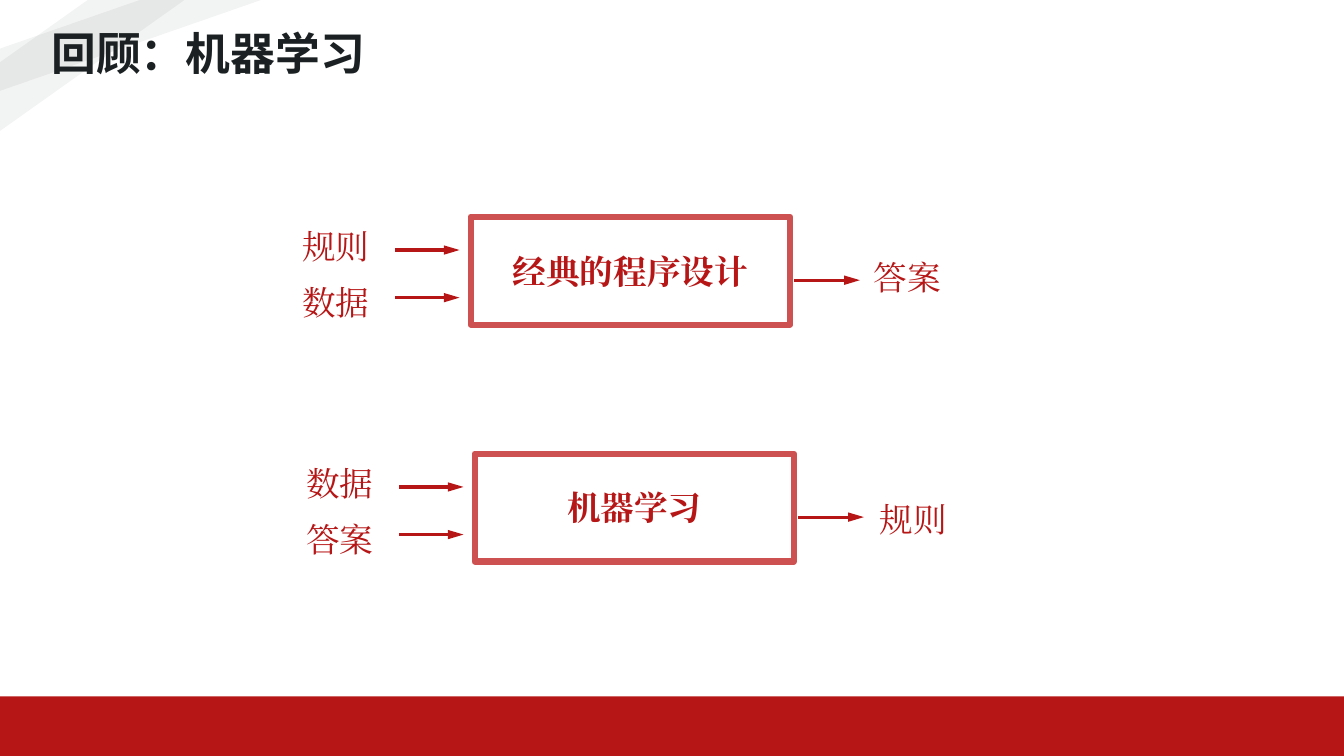
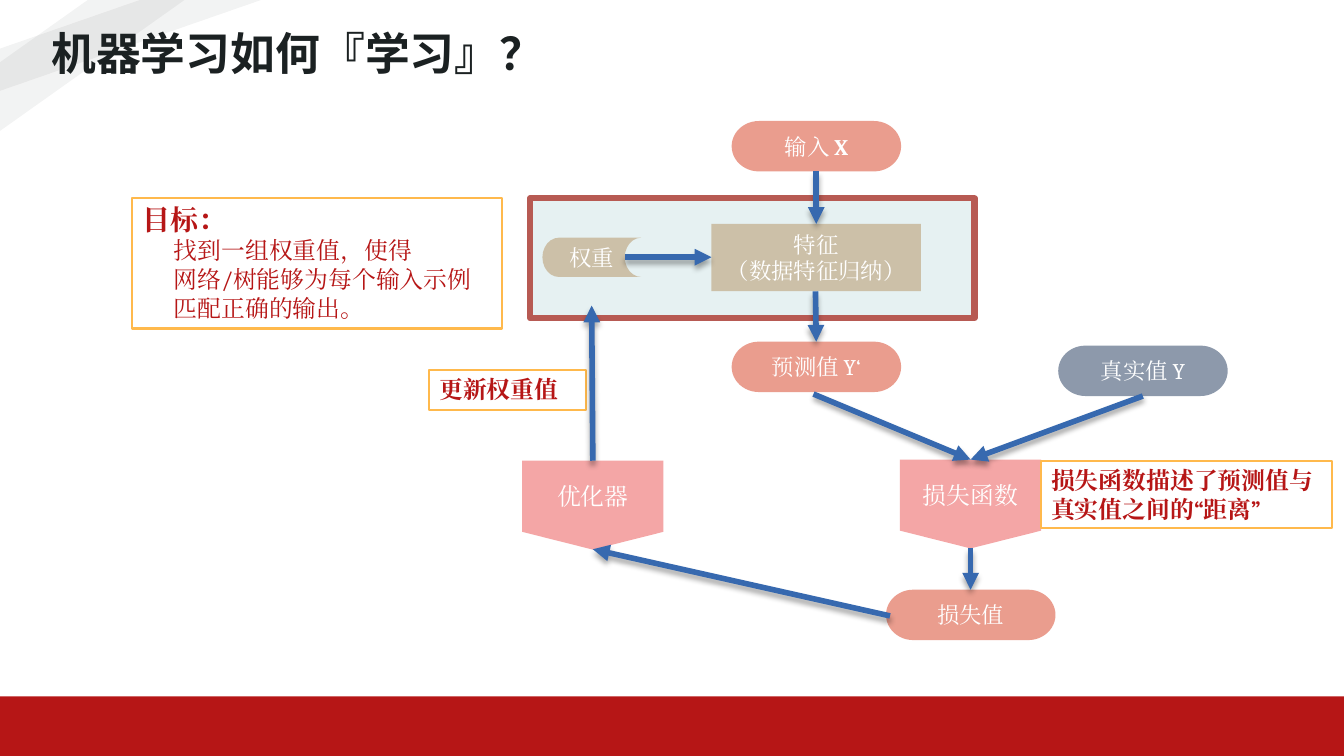
import copy

import pptx
import pptx.util
import pptx.dml.color
import pptx.enum.shapes
import pptx.enum.text
import pptx.oxml
import pptx.oxml.ns
from lxml import etree

Cm, Pt = pptx.util.Cm, pptx.util.Pt
RGB = pptx.dml.color.RGBColor.from_string
KIND = pptx.enum.shapes.MSO_SHAPE
ALIGN = pptx.enum.text.PP_ALIGN
ANCHOR = pptx.enum.text.MSO_ANCHOR
qn = pptx.oxml.ns.qn

COLORS = {
    "red": "B61616", "box": "CD5151", "title": "1B2122", "stripe": "121616",
    "white": "FFFFFF", "amber": "FFB94C", "frame": "E6F1F2",
    "frame_line": "B75A53", "value": "D73C1E", "model": "B4915F",
    "truth": "1C3458", "step": "EA4E4E", "arrow": "3769AF", "shadow": "000000",
}
BODY_FONT, TITLE_FONT = "Cambria", "Noto Sans CJK SC"


def add_box(s, kind, at, text="", size=16, color="white", bold=False,
            fill=None, alpha=100, line=None, width=1.5, center=True):
    """Add a shape, or a plain text box when kind is None."""
    at = [Cm(v) for v in at]
    if kind is None:
        sp = s.shapes.add_textbox(*at)
    else:
        sp = s.shapes.add_shape(kind, *at)
        sp.shadow.inherit = False
    if fill:
        sp.fill.solid()
        sp.fill.fore_color.rgb = RGB(COLORS[fill])
        if alpha < 100:
            srgb = sp.element.spPr.find(qn("a:solidFill"))[0]
            etree.SubElement(srgb, qn("a:alpha"), val=str(alpha * 1000))
    if line:
        sp.line.color.rgb = RGB(COLORS[line])
        sp.line.width = Pt(width)
    else:
        sp.line.fill.background()
    tf = sp.text_frame
    tf.word_wrap = True
    tf.vertical_anchor = ANCHOR.MIDDLE if center else ANCHOR.TOP
    if center:
        tf.margin_left = tf.margin_right = 0
    if text:
        tf.text = text
    for p in tf.paragraphs:
        p.alignment = ALIGN.CENTER if center else ALIGN.LEFT
        for r in p.runs:
            r.font.size, r.font.bold, r.font.name = Pt(size), bold, BODY_FONT
            r.font.color.rgb = RGB(COLORS[color])
            etree.SubElement(r.font._element, qn("a:ea"), typeface=BODY_FONT)
    return sp


def add_arrow(s, x1, y1, x2, y2, color, width, length="med", shadow=False):
    arrow = s.shapes.add_connector(pptx.enum.shapes.MSO_CONNECTOR.STRAIGHT,
                                   Cm(x1), Cm(y1), Cm(x2), Cm(y2))
    arrow.line.color.rgb = RGB(COLORS[color])
    arrow.line.width = Pt(width)
    props = arrow.element.spPr
    etree.SubElement(props.find(qn("a:ln")), qn("a:tailEnd"),
                     type="triangle", w="med", len=length)
    effects = etree.SubElement(props, qn("a:effectLst"))
    if shadow:
        outer = etree.SubElement(effects, qn("a:outerShdw"), blurRad=str(Pt(4)),
                                 dist=str(Pt(3)), dir="5400000", rotWithShape="0")
        srgb = etree.SubElement(outer, qn("a:srgbClr"), val=COLORS["shadow"])
        etree.SubElement(srgb, qn("a:alpha"), val="35000")


prs = pptx.Presentation()
prs.slide_width, prs.slide_height = Cm(33.87), Cm(19.05)

# Layout: title position
layout = prs.slide_layouts[5]
title = layout.placeholders[0]
title.left, title.top, title.width, title.height = Cm(1.04), Cm(0.64), Cm(31.8), Cm(1.6)

# Slides with their titles
slides = []
for text in ("回顾：机器学习", "机器学习如何『学习』？"):
    s = prs.slides.add_slide(layout)
    tf = s.shapes.title.text_frame
    tf.text = text
    tf.auto_size = pptx.enum.text.MSO_AUTO_SIZE.NONE
    tf.vertical_anchor = ANCHOR.TOP
    tf.margin_top = tf.margin_bottom = 0
    p = tf.paragraphs[0]
    p.alignment = ALIGN.LEFT
    font = p.runs[0].font
    font.size, font.bold, font.name = Pt(32), True, TITLE_FONT
    font.color.rgb = RGB(COLORS["title"])
    etree.SubElement(font._element, qn("a:ea"), typeface=TITLE_FONT)
    slides.append(s)
review, learning = slides

# Layout: red footer band and grey corner stripes, moved behind the title
decor = [add_box(review, KIND.RECTANGLE, (0, 17.55, 33.87, 1.5), fill="red")]
for w, h, share in ((6.58, 2.29, 0.536), (4.65, 3.3, 0.476)):
    stripe = add_box(review, KIND.DIAGONAL_STRIPE, (0, 0, w, h), fill="stripe", alpha=5)
    stripe.adjustments[0] = share
    decor.append(stripe)
for i, sp in enumerate(decor):
    sp.element.nvSpPr.cNvPr.set("id", str(100 + i))
    layout.shapes.element.insert(2 + i, sp.element)

# Slide 1: two input-output diagrams
diagrams = [
    (0, 0, ("规则", "数据"), "经典的程序设计", "答案", (21.77, 6.35)),
    (0.1, 5.97, ("数据", "答案"), "机器学习", "规则", (21.92, 12.45)),
]
for dx, dy, inputs, name, output, (out_x, out_y) in diagrams:
    for i, text in enumerate(inputs):
        add_box(review, None, (7.37 + dx, 5.56 + dy + 1.41 * i, 3.18, 1.27),
                text, 24, "red", center=False)
        y = 6.3 + dy + 1.2 * i
        add_arrow(review, 9.96 + dx, y, 11.58 + dx, y, "red", 2.25, "lg")
    add_box(review, KIND.RECTANGLE, (11.86 + dx, 5.46 + dy, 8.05, 2.72),
            name, 24, "red", True, "white", line="box", width=4.33)
    y = 7.06 + dy
    add_arrow(review, 20.02 + dx, y, 21.67 + dx, y, "red", 2.25, "lg")
    add_box(review, None, (out_x, out_y, 2.29, 1.27), output, 24, "red", center=False)

# Slide 2: model frame
add_box(learning, KIND.RECTANGLE, (13.36, 5, 11.2, 3.02), fill="frame",
        line="frame_line", width=4.33)

# Slide 2: half-transparent nodes
oval, step = KIND.FLOWCHART_TERMINATOR, KIND.FLOWCHART_OFFPAGE_CONNECTOR
nodes = [
    (oval, (18.44, 3.05, 4.27, 1.27), "输入 X", 16, "value"),
    (KIND.FLOWCHART_PROCESS, (17.93, 5.64, 5.28, 1.7), "特征\n（数据特征归纳）", 16, "model"),
    (KIND.FLOWCHART_STORED_DATA, (13.67, 5.99, 2.49, 0.99), "权重", 16, "model"),
    (oval, (18.44, 8.61, 4.27, 1.27), "预测值 Y‘", 16, "value"),
    (oval, (26.67, 8.71, 4.27, 1.27), "真实值 Y", 16, "truth"),
    (step, (22.68, 11.58, 3.56, 2.24), "损失函数", 17, "step"),
    (oval, (22.33, 14.86, 4.27, 1.27), "损失值", 16, "value"),
    (step, (13.16, 11.61, 3.56, 2.24), "优化器", 17, "step"),
]
for kind, at, text, size, fill in nodes:
    sp = add_box(learning, kind, at, text, size, fill=fill, alpha=50)
    if text.endswith("X"):
        p = sp.text_frame.paragraphs[0]
        p._p.append(copy.deepcopy(p.runs[0]._r))
        p.runs[0].text, p.runs[1].text = "输入 ", "X"
        p.runs[1].font.bold = True

# Slide 2: framed notes
notes = [
    ((3.33, 4.98, 9.32, 3.3), "目标：\n找到一组权重值，使得\n网络/树能够为每个输入示例\n匹配正确的输出。"),
    ((26.24, 11.61, 7.32, 1.7), "损失函数描述了预测值与真实值之间的“距离”"),
    ((10.82, 9.32, 3.94, 1.02), "更新权重值"),
]
for at, text in notes:
    sp = add_box(learning, KIND.RECTANGLE, at, text, 17, "red", True, "white",
                 line="amber", center=False)
    heading, *details = sp.text_frame.paragraphs
    if details:
        heading.runs[0].font.size = Pt(20)
    for p in details:
        p._p.get_or_add_pPr().set("marL", str(Cm(0.8)))
        p.runs[0].font.bold = False

# Slide 2: flow arrows
for ends in (
    (20.57, 4.32, 20.57, 5.64),
    (20.55, 7.34, 20.57, 8.61),
    (15.75, 6.48, 17.93, 6.48),
    (20.5, 9.93, 24.46, 11.58),
    (28.8, 9.98, 24.46, 11.58),
    (24.46, 13.82, 24.46, 14.86),
    (22.43, 15.52, 14.94, 13.84),
    (14.94, 11.61, 14.91, 7.7),
):
    add_arrow(learning, *ends, "arrow", 4, shadow=True)

prs.save("out.pptx")
